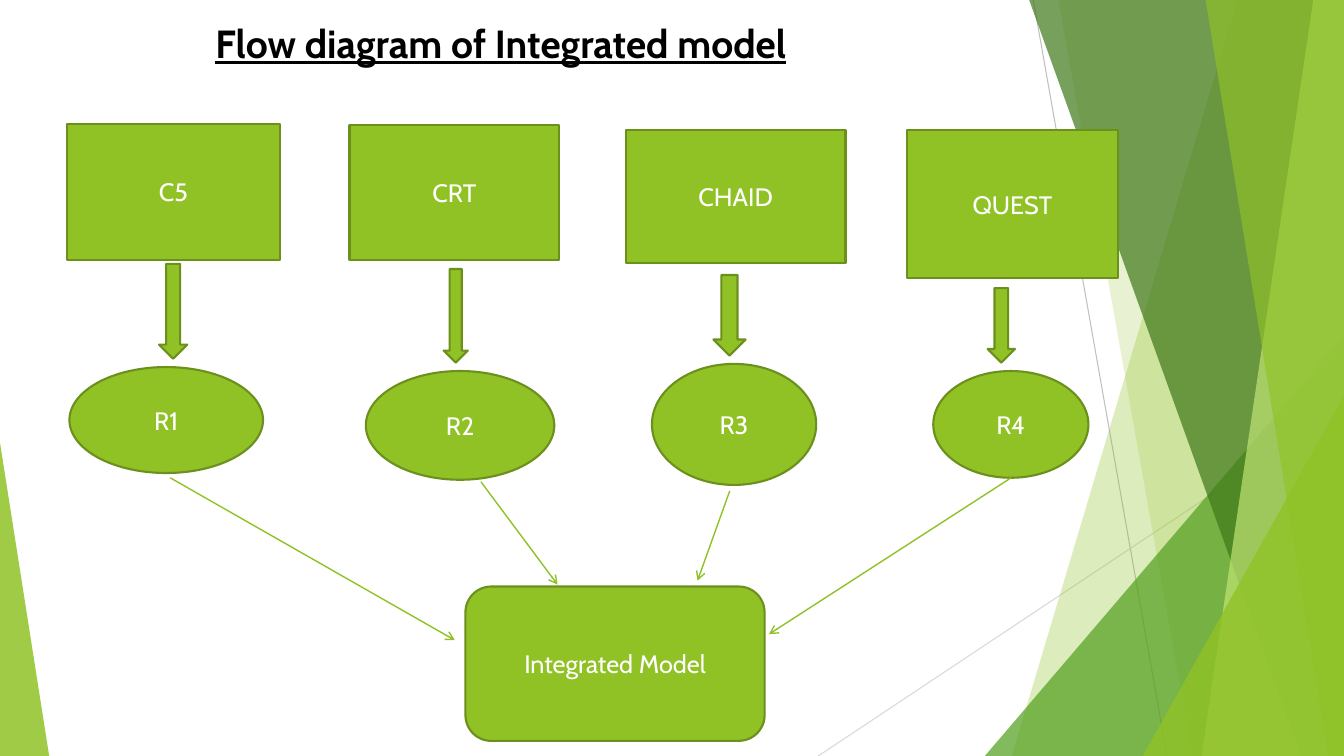
from dataclasses import dataclass

from lxml import etree
from pptx import Presentation
from pptx.dml.color import RGBColor
from pptx.enum.shapes import MSO_CONNECTOR, MSO_SHAPE
from pptx.enum.text import MSO_ANCHOR, MSO_AUTO_SIZE, PP_ALIGN
from pptx.oxml.ns import qn
from pptx.shapes.autoshape import Shape
from pptx.slide import Slide
from pptx.util import Cm, Pt

RECTANGLE = MSO_SHAPE.RECTANGLE
ROUNDED = MSO_SHAPE.ROUNDED_RECTANGLE
OVAL = MSO_SHAPE.OVAL
DOWN_ARROW = MSO_SHAPE.DOWN_ARROW
TRIANGLE = MSO_SHAPE.ISOSCELES_TRIANGLE
STRAIGHT = MSO_CONNECTOR.STRAIGHT
CENTER, LEFT = PP_ALIGN.CENTER, PP_ALIGN.LEFT
MIDDLE = MSO_ANCHOR.MIDDLE
GROW = MSO_AUTO_SIZE.SHAPE_TO_FIT_TEXT

PAGE_WIDTH, PAGE_HEIGHT = 33.87, 19.05
FACET_TOP = -0.02


@dataclass(frozen=True)
class Theme:
    green: str = "90C226"
    outline: str = "6B901C"
    leaf: str = "54A021"
    forest: str = "3F7819"
    lime: str = "C0E474"
    gray: str = "BFBFBF"
    pale_gray: str = "D9D9D9"
    white: str = "FFFFFF"
    black: str = "000000"
    font: str = "Cabin"
    label_size: float = 18
    title_size: float = 28
    outline_width: float = 1.5
    arrow_width: float = 1
    hairline_width: float = 0.75


THEME = Theme()
LABEL_FORMAT = {"name": THEME.font, "size": Pt(THEME.label_size)}
TITLE_FORMAT = {"name": THEME.font, "size": Pt(THEME.title_size), "bold": True, "underline": True}


@dataclass(frozen=True)
class Node:
    kind: MSO_SHAPE
    left: float
    top: float
    width: float
    height: float
    label: str = ""


@dataclass(frozen=True)
class Link:
    start: tuple[float, float]
    end: tuple[float, float]
    color: str = THEME.green
    width: float = THEME.arrow_width
    arrow: bool = True


@dataclass(frozen=True)
class Facet:
    top_x: float
    bottom_x: float
    color: str
    opacity: int


@dataclass(frozen=True)
class Corner:
    left: float
    top: float
    right: float
    apex: float
    color: str
    opacity: int


HAIRLINES = [
    Link((26.04, 0), (29.41, PAGE_HEIGHT), THEME.gray, THEME.hairline_width, False),
    Link((PAGE_WIDTH, 10.24), (20.62, PAGE_HEIGHT), THEME.pale_gray, THEME.hairline_width, False),
]
BACKDROP = [
    Facet(31.19, 25.5, THEME.green, 30),
    Facet(26.67, 30.05, THEME.green, 20),
    Corner(24.82, 8.46, PAGE_WIDTH, 1, THEME.leaf, 72),
    Facet(25.93, 32.79, THEME.forest, 70),
    Facet(33.1, 30.28, THEME.lime, 70),
    Facet(30.38, 33.48, THEME.green, 65),
    Corner(28.8, 9.98, PAGE_WIDTH, 1, THEME.green, 80),
    Corner(0, 11.15, 1.24, 0, THEME.green, 85),
]
NODES = [
    Node(RECTANGLE, 1.68, 3.12, 5.38, 3.43, "C5"),
    Node(RECTANGLE, 8.81, 3.15, 5.28, 3.4, "CRT"),
    Node(RECTANGLE, 15.77, 3.28, 5.54, 3.35, "CHAID"),
    Node(RECTANGLE, 22.86, 3.28, 5.31, 3.73, "QUEST"),
    Node(OVAL, 1.75, 9.25, 4.88, 2.67, "R1"),
    Node(OVAL, 9.22, 9.35, 4.75, 2.74, "R2"),
    Node(OVAL, 16.43, 9.17, 4.14, 3.05, "R3"),
    Node(OVAL, 23.52, 9.35, 3.91, 2.69, "R4"),
    Node(DOWN_ARROW, 4.01, 6.65, 0.71, 2.39),
    Node(DOWN_ARROW, 11.18, 6.78, 0.61, 2.36),
    Node(DOWN_ARROW, 17.98, 6.93, 0.81, 2.03),
    Node(DOWN_ARROW, 24.89, 7.26, 0.69, 1.88),
    Node(ROUNDED, 11.73, 14.78, 7.54, 3.89, "Integrated Model"),
]
LINKS = [
    Link((4.29, 12.04), (11.46, 16.13)),
    Link((25.48, 12.04), (19.38, 15.98)),
    Link((18.39, 12.37), (17.58, 14.63)),
    Link((12.12, 12.14), (14.05, 14.73)),
]


def write_text(box: Shape, text: str, color: str, align: PP_ALIGN, text_format: dict) -> None:
    box.text_frame.word_wrap = True
    para = box.text_frame.paragraphs[0]
    para.alignment = align
    span = para.add_run()
    span.text = text
    span.font.color.rgb = RGBColor.from_string(color)
    for name, value in text_format.items():
        setattr(span.font, name, value)


def fill_shape(shape: Shape, color: str) -> None:
    shape.shadow.inherit = False
    shape.fill.solid()
    shape.fill.fore_color.rgb = RGBColor.from_string(color)


def draw_backdrop(page: Slide, part: Facet | Corner) -> None:
    if isinstance(part, Facet):
        builder = page.shapes.build_freeform(Cm(part.top_x), Cm(FACET_TOP))
        outline = [(PAGE_WIDTH, FACET_TOP), (PAGE_WIDTH, PAGE_HEIGHT), (part.bottom_x, PAGE_HEIGHT)]
        builder.add_line_segments([(Cm(x), Cm(y)) for x, y in outline], close=True)
        shape = builder.convert_to_shape()
    else:
        shape = page.shapes.add_shape(
            TRIANGLE, Cm(part.left), Cm(part.top),
            Cm(part.right - part.left), Cm(PAGE_HEIGHT - part.top))
        shape.adjustments[0] = part.apex
    fill_shape(shape, part.color)
    shape.line.fill.background()
    color = shape.element.spPr.find(qn("a:solidFill")).find(qn("a:srgbClr"))
    etree.SubElement(color, qn("a:alpha"), val=str(part.opacity * 1000))


def draw_node(page: Slide, node: Node) -> None:
    shape = page.shapes.add_shape(
        node.kind, Cm(node.left), Cm(node.top), Cm(node.width), Cm(node.height))
    fill_shape(shape, THEME.green)
    shape.line.color.rgb = RGBColor.from_string(THEME.outline)
    shape.line.width = Pt(THEME.outline_width)
    if node.label:
        shape.text_frame.vertical_anchor = MIDDLE
        write_text(shape, node.label, THEME.white, CENTER, LABEL_FORMAT)


def draw_link(page: Slide, link: Link) -> None:
    ends = [Cm(value) for value in (*link.start, *link.end)]
    connector = page.shapes.add_connector(STRAIGHT, *ends)
    connector.line.color.rgb = RGBColor.from_string(link.color)
    connector.line.width = Pt(link.width)
    properties = connector.element.spPr
    if link.arrow:
        etree.SubElement(properties.find(qn("a:ln")), qn("a:tailEnd"), type="arrow")
    etree.SubElement(properties, qn("a:effectLst"))


def draw_title(page: Slide) -> None:
    box = page.shapes.add_textbox(Cm(5.18), Cm(0.36), Cm(18.67), Cm(1.45))
    box.text_frame.auto_size = GROW
    write_text(box, "Flow diagram of Integrated model", THEME.black, LEFT, TITLE_FORMAT)


def main() -> None:
    deck = Presentation()
    deck.slide_width, deck.slide_height = Cm(PAGE_WIDTH), Cm(PAGE_HEIGHT)
    page = deck.slides.add_slide(deck.slide_layouts[6])
    for hairline in HAIRLINES:
        draw_link(page, hairline)
    for part in BACKDROP:
        draw_backdrop(page, part)
    for node in NODES:
        draw_node(page, node)
    for link in LINKS:
        draw_link(page, link)
    draw_title(page)
    deck.save("out.pptx")


if __name__ == "__main__":
    main()
